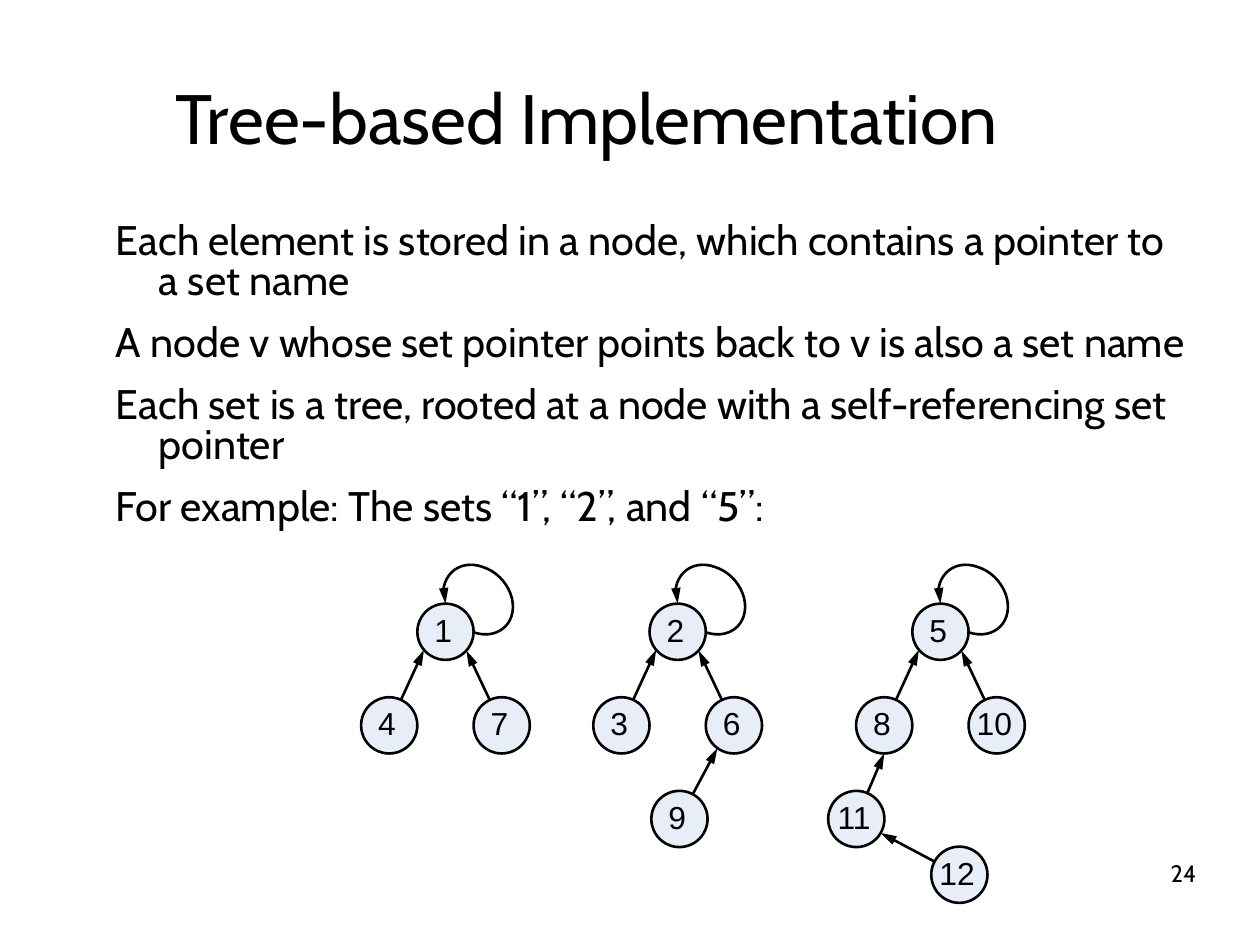
"""Build the slide on the tree-based implementation of disjoint sets."""
import math

from pptx import Presentation
from pptx import util as u
from pptx.dml.color import RGBColor
from pptx.enum import shapes, text
from pptx.oxml import ns
from lxml import etree

BLACK = RGBColor(0, 0, 0)
PALE_BLUE = RGBColor(0xE8, 0xEE, 0xF7)

TITLE = "Tree-based Implementation"
POINTS = [
    "Each element is stored in a node, which contains a pointer to a set name",
    "A node v whose set pointer points back to v is also a set name",
    "Each set is a tree, rooted at a node with a self-referencing set pointer",
    "For example: The sets “1”, “2”, and “5”:",
]
PAGE_NUMBER = "24"

ROOTS = {"1": (9.9, 14.04), "2": (15.06, 14.04), "5": (20.9, 14.04)}
LEFT, RIGHT = (-1.25, 2.08, 140), (1.25, 2.08, 42)
CHILDREN = [
    ("4", "1", LEFT), ("7", "1", RIGHT),
    ("3", "2", LEFT), ("6", "2", RIGHT), ("9", "6", (-1.21, 2.08, 126)),
    ("8", "5", LEFT), ("10", "5", RIGHT),
    ("11", "8", (-0.62, 2.08, 90)), ("12", "11", (2.29, 1.24, 30)),
]
RADIUS = 0.625
LOOP_START = (0.62, 0.01)
LOOP_CURVES = [
    ((1.05, 0.16), (1.43, -0.06), (1.49, -0.44)),
    ((1.56, -0.85), (1.25, -1.31), (0.83, -1.44)),
    ((0.42, -1.59), (0.04, -1.39), (-0.04, -0.98)),
]
LOOP_STEPS = 12
LINE_WIDTH = u.Pt(1.63)

NO_INSETS = dict(margin_left=0, margin_right=0, margin_top=0, margin_bottom=0)
TITLE_FRAME = dict(NO_INSETS, word_wrap=True, auto_size=text.MSO_AUTO_SIZE.NONE,
                   vertical_anchor=text.MSO_ANCHOR.MIDDLE)
BODY_FRAME = dict(TITLE_FRAME, margin_top=u.Cm(0.08), vertical_anchor=text.MSO_ANCHOR.TOP)
NUMBER_FRAME = dict(BODY_FRAME, margin_top=0)
NODE_FRAME = dict(TITLE_FRAME, word_wrap=False, margin_right=u.Cm(0.1))
TITLE_PARA = dict(alignment=text.PP_ALIGN.CENTER, line_spacing=0.93)
BODY_PARA = dict(alignment=text.PP_ALIGN.LEFT, line_spacing=0.8,
                 space_before=u.Pt(0), space_after=u.Pt(14.2))
NUMBER_PARA = dict(alignment=text.PP_ALIGN.RIGHT, line_spacing=0.95)


def apply(target, formats):
    """Set every attribute named in formats on the target."""
    for name, value in formats.items():
        setattr(target, name, value)


def place(box, left, top, width, height):
    """Move and size a box in centimetres."""
    apply(box, dict(left=u.Cm(left), top=u.Cm(top), width=u.Cm(width), height=u.Cm(height)))


def write(box, lines, frame_format, para_format, font_name, size):
    """Fill a box with one formatted paragraph per line."""
    frame = box.text_frame
    apply(frame, frame_format)
    for index, line in enumerate(lines):
        para = frame.add_paragraph() if index else frame.paragraphs[0]
        apply(para, para_format)
        span = para.add_run()
        span.text = line
        apply(span.font, dict(name=font_name, size=u.Pt(size)))
        span.font.color.rgb = BLACK


def hang(para, indent):
    """Give a paragraph a hanging indent without a bullet."""
    props = para._p.get_or_add_pPr()
    props.set("marL", str(u.Cm(indent)))
    props.set("indent", str(-u.Cm(indent)))
    etree.SubElement(props, ns.qn("a:buNone"))


def outline(shape):
    """Give a shape or connector a plain black line."""
    shape.line.width = LINE_WIDTH
    shape.line.color.rgb = BLACK


def add_arrowhead(shape):
    """Put an arrowhead at the end of a line."""
    etree.SubElement(shape.line._get_or_add_ln(), ns.qn("a:tailEnd"),
                     type="triangle", w="med", len="lg")


def add_pointer(page, start, centre, angle):
    """Draw an arrow from a child's centre to the rim of its parent."""
    turn = math.radians(angle)
    tip = (centre[0] + RADIUS * math.cos(turn), centre[1] + RADIUS * math.sin(turn))
    pointer = page.shapes.add_connector(shapes.MSO_CONNECTOR.STRAIGHT,
                                        *(u.Cm(value) for value in start + tip))
    outline(pointer)
    add_arrowhead(pointer)
    etree.SubElement(pointer._element.spPr, ns.qn("a:effectLst"))


def loop_points():
    """Return the points of a self-pointer, relative to its node."""
    points = [LOOP_START]
    for curve in LOOP_CURVES:
        corners = (points[-1],) + curve
        for step in range(1, LOOP_STEPS + 1):
            t = step / LOOP_STEPS
            weights = [math.comb(3, k) * t ** k * (1 - t) ** (3 - k) for k in range(4)]
            points.append(tuple(sum(w * corner[axis] for w, corner in zip(weights, corners))
                                for axis in (0, 1)))
    return points + [(0, -RADIUS)]


def add_loop(page, centre):
    """Draw the pointer from a root back to itself."""
    points = [(u.Cm(centre[0] + x), u.Cm(centre[1] + y)) for x, y in loop_points()]
    builder = page.shapes.build_freeform(*points[0])
    builder.add_line_segments(points[1:], close=False)
    loop = builder.convert_to_shape()
    loop.shadow.inherit = False
    loop.fill.background()
    outline(loop)
    add_arrowhead(loop)


def add_node(page, label, centre):
    """Draw a labelled circle."""
    node = page.shapes.add_shape(shapes.MSO_SHAPE.OVAL, 0, 0, 0, 0)
    place(node, centre[0] - RADIUS, centre[1] - RADIUS, 2 * RADIUS, 2 * RADIUS)
    node.shadow.inherit = False
    node.fill.solid()
    node.fill.fore_color.rgb = PALE_BLUE
    outline(node)
    write(node, [label], NODE_FRAME, TITLE_PARA, "Arial", 20)


def main():
    """Build and save the deck."""
    deck = Presentation()
    apply(deck, dict(slide_width=u.Cm(28), slide_height=u.Cm(21)))
    page = deck.slides.add_slide(deck.slide_layouts[1])

    title, body = page.placeholders
    place(title, 1.85, 0.94, 22.4, 3.5)
    write(title, [TITLE], TITLE_FRAME, TITLE_PARA, "Cabin", 44)
    place(body, 2.57, 4.9, 23.8, 7.7)
    write(body, POINTS, BODY_FRAME, BODY_PARA, "Cabin", 26)
    for para in body.text_frame.paragraphs:
        hang(para, 0.96)

    number = page.shapes.add_textbox(0, 0, 0, 0)
    place(number, 20.07, 19.13, 6.52, 1.45)
    write(number, [PAGE_NUMBER], NUMBER_FRAME, NUMBER_PARA, "Cabin", 15)

    centres = dict(ROOTS)
    for label, parent, (across, down, angle) in CHILDREN:
        x, y = centres[parent]
        centres[label] = (x + across, y + down)
        add_pointer(page, centres[label], centres[parent], angle)
    for centre in ROOTS.values():
        add_loop(page, centre)
    for label, centre in centres.items():
        add_node(page, label, centre)

    deck.save("out.pptx")


if __name__ == "__main__":
    main()
